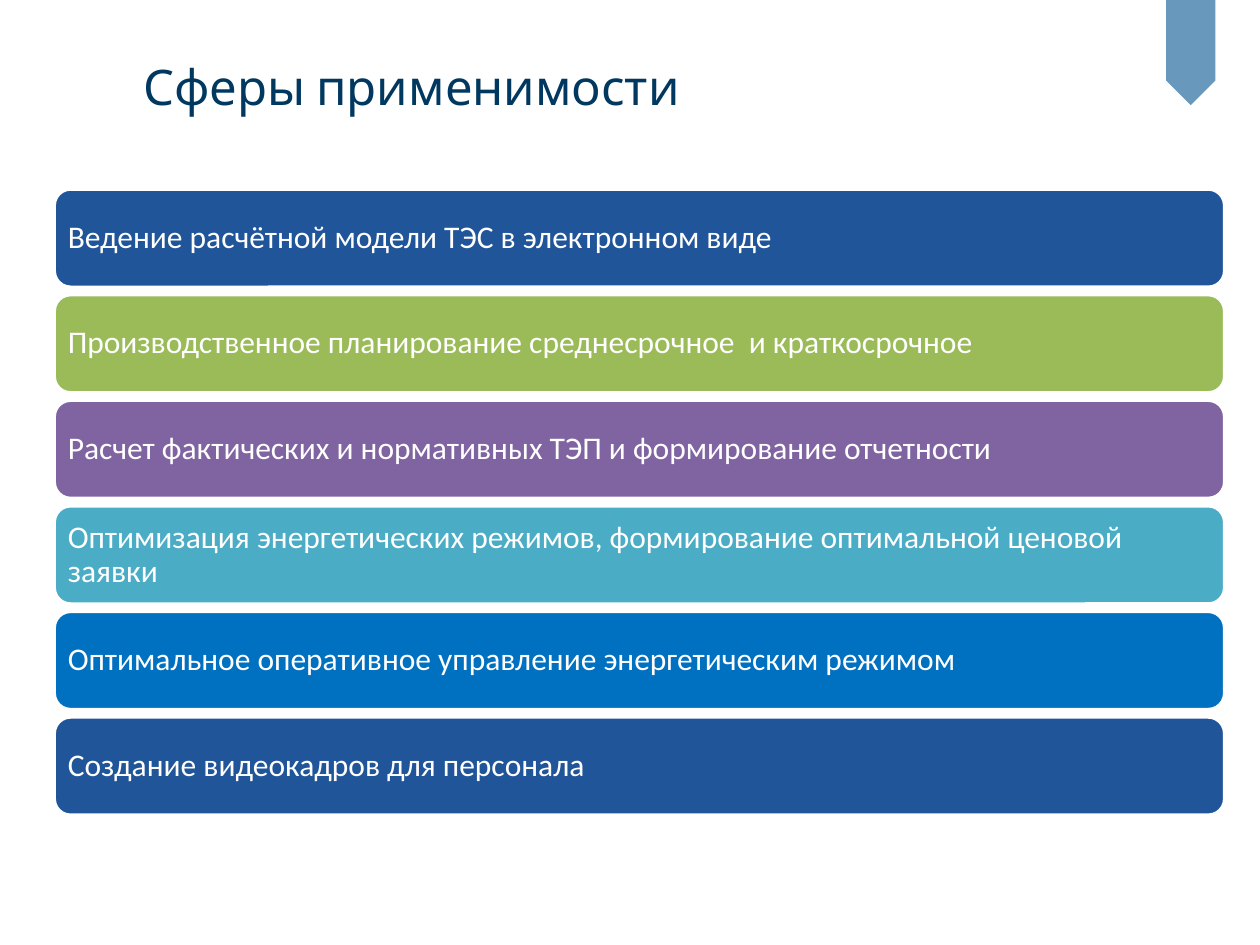
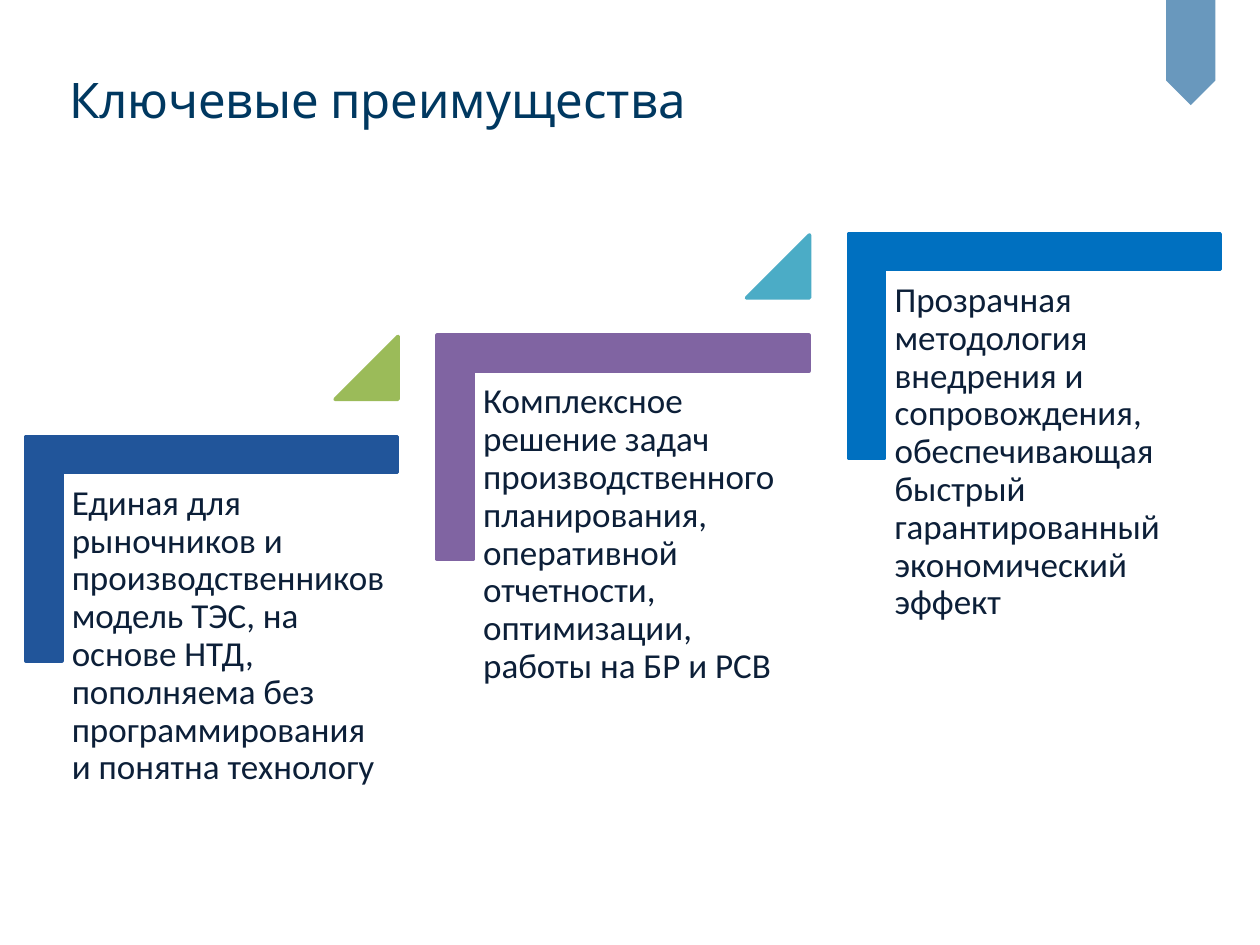
"""Builds two slides: areas of application and key advantages."""
from pptx import Presentation
from pptx.dml.color import RGBColor
from pptx.enum.shapes import MSO_SHAPE as Shape
from pptx.enum.text import MSO_ANCHOR as Anchor, PP_ALIGN as Align
from pptx.util import Inches, Pt

COLORS = {
    "title": "003860", "ribbon": "6998BD", "text": "0C1F38", "white": "FFFFFF",
    "navy": "21559A", "green": "9BBB59", "purple": "8064A2",
    "teal": "4BACC6", "blue": "0070C0",
}
TITLE_FONT, BODY_FONT = "Cabin", "Calibri"

AREAS_TITLE = ("Сферы применимости", (1.1, 0.21, 8.86, 0.94))
AREAS = [
    ("Ведение расчётной модели ТЭС в электронном виде", "navy"),
    ("Производственное планирование среднесрочное  и краткосрочное", "green"),
    ("Расчет фактических и нормативных ТЭП и формирование отчетности", "purple"),
    ("Оптимизация энергетических режимов, формирование оптимальной ценовой заявки", "teal"),
    ("Оптимальное оперативное управление энергетическим режимом", "blue"),
    ("Создание видеокадров для персонала", "navy"),
]
BAR_LEFT, BAR_WIDTH, BAR_HEIGHT = 0.43, 9.29, 0.78
FIRST_BAR_TOP, LAST_BAR_TOP = 1.5, 5.69

ADVANTAGES_TITLE = ("Ключевые преимущества", (0.51, 0.29, 9.61, 0.99))
ADVANTAGES = [
    ("Единая для рыночников и производственников модель ТЭС, на основе НТД, "
     "пополняема без программирования и понятна технологу", "navy", "green"),
    ("Комплексное решение задач производственного планирования, оперативной "
     "отчетности, оптимизации, работы на БР и РСВ", "purple", "teal"),
    ("Прозрачная методология внедрения и сопровождения, обеспечивающая быстрый  "
     "гарантированный экономический эффект", "blue", None),
]
STAIR_RUN, STAIR_RISE = 6.53 / 2, 1.61 / 2
CORNER = (0.79, 2.88, 1.78, 2.95)
ADVANTAGE_TEXT = (0.49, 3.77, 2.67, 2.34)
MARKER = (2.66, 2.67, 0.5, 0.5)


def color(key):
    return RGBColor.from_string(COLORS[key])


def add_figure(slide, kind, box, fill, line=None, rotation=0, adjust=()):
    figure = slide.shapes.add_shape(kind, *map(Inches, box))
    figure.shadow.inherit = False
    figure.rotation = rotation
    for index, value in enumerate(adjust):
        figure.adjustments[index] = value
    figure.fill.solid()
    figure.fill.fore_color.rgb = color(fill)
    if line:
        figure.line.color.rgb = color(line)
        figure.line.width = Pt(2)
    else:
        figure.line.fill.background()
    return figure


def write(holder, text, size, ink, insets, font=BODY_FONT, anchor=Anchor.TOP, spacing=None):
    frame = holder.text_frame
    frame.word_wrap = True
    frame.vertical_anchor = anchor
    (frame.margin_left, frame.margin_top,
     frame.margin_right, frame.margin_bottom) = map(Inches, insets)
    paragraph = frame.paragraphs[0]
    paragraph.alignment = Align.LEFT
    paragraph.line_spacing = spacing
    run = paragraph.add_run()
    run.text = text
    run.font.name, run.font.size = font, Pt(size)
    run.font.color.rgb = color(ink)


def start_slide(deck, title, title_box):
    slide = deck.slides.add_slide(deck.slide_layouts[6])
    add_figure(slide, Shape.PENTAGON, (9.03, 0.22, 0.84, 0.39), "ribbon", rotation=90)
    heading = slide.shapes.add_textbox(*map(Inches, title_box))
    write(heading, title, 28, "title", (0.04, 0.05, 0.39, 0.05), TITLE_FONT, Anchor.MIDDLE)
    return slide


def build_areas(deck):
    slide = start_slide(deck, *AREAS_TITLE)
    pitch = (LAST_BAR_TOP - FIRST_BAR_TOP) / (len(AREAS) - 1)
    for row, (area, fill) in enumerate(AREAS):
        box = (BAR_LEFT, FIRST_BAR_TOP + row * pitch, BAR_WIDTH, BAR_HEIGHT)
        bar = add_figure(slide, Shape.ROUNDED_RECTANGLE, box, fill, "white")
        write(bar, area, 18, "white", (0.07,) * 4, anchor=Anchor.MIDDLE, spacing=0.9)


def on_stair(box, step):
    left, top, width, height = box
    return left + step * STAIR_RUN, top - step * STAIR_RISE, width, height


def build_advantages(deck):
    slide = start_slide(deck, *ADVANTAGES_TITLE)
    for step, (advantage, corner, marker) in enumerate(ADVANTAGES):
        add_figure(slide, Shape.CORNER, on_stair(CORNER, step), corner, corner,
                   rotation=90, adjust=(0.16, 0.16))
        label = slide.shapes.add_textbox(*map(Inches, on_stair(ADVANTAGE_TEXT, step)))
        write(label, advantage, 20, "text", (0.08,) * 4, spacing=0.9)
        if marker:
            add_figure(slide, Shape.ISOSCELES_TRIANGLE, on_stair(MARKER, step),
                       marker, marker, adjust=(1,))


def main():
    deck = Presentation()
    deck.slide_width, deck.slide_height = Inches(10), Inches(7.5)
    build_areas(deck)
    build_advantages(deck)
    deck.save("out.pptx")


if __name__ == "__main__":
    main()
